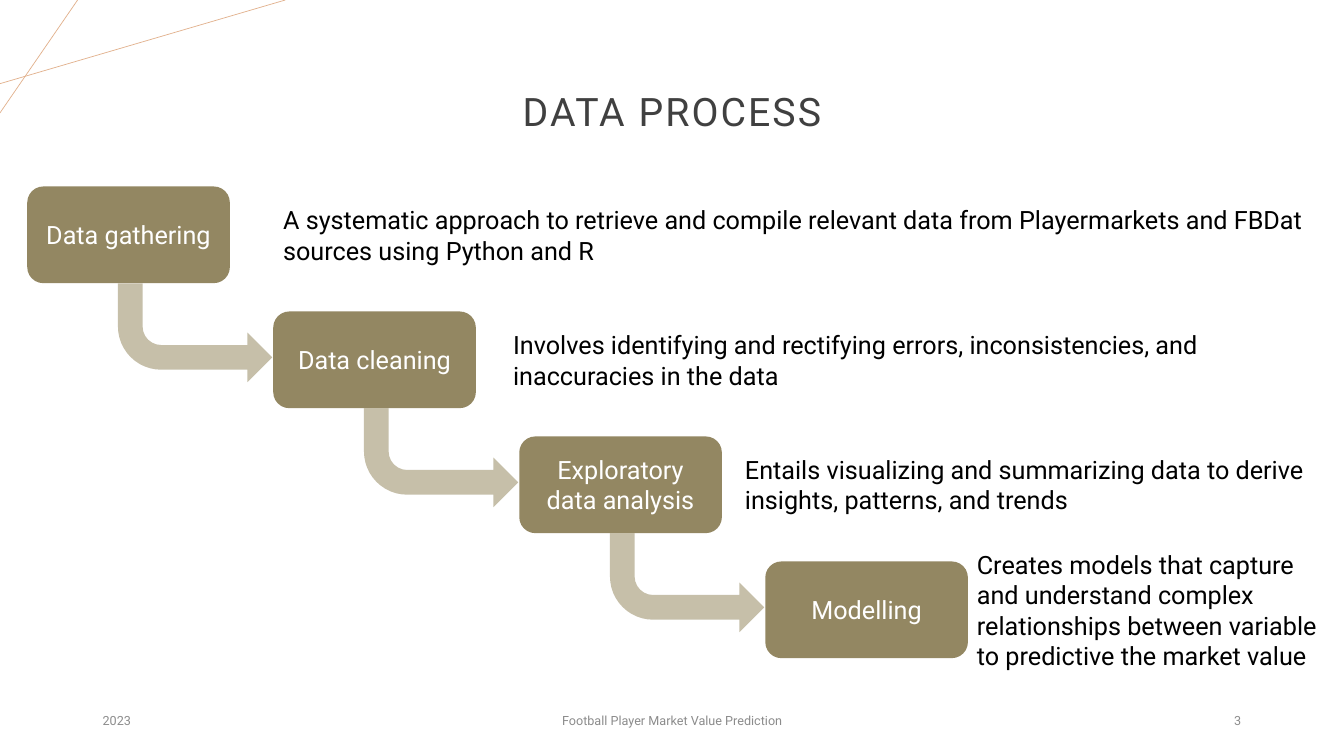
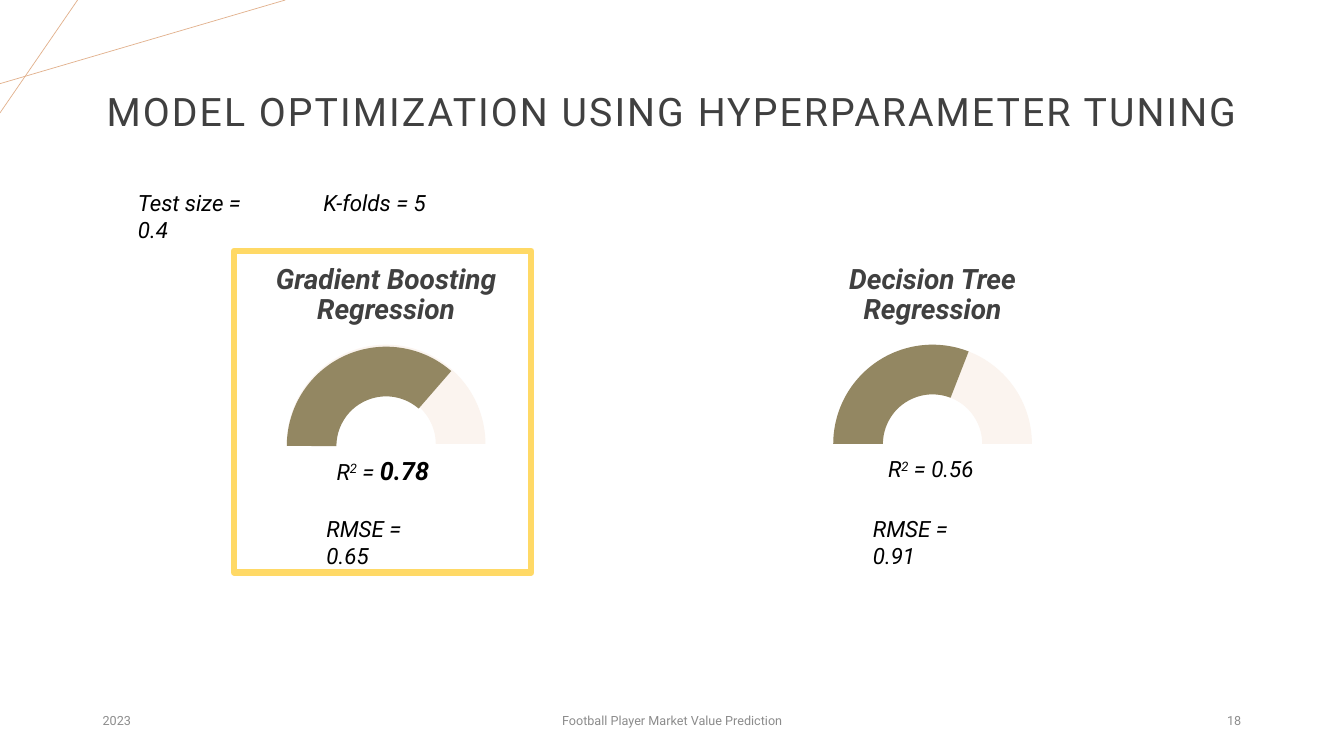
from lxml.etree import SubElement
from pptx import Presentation
from pptx.dml.color import RGBColor
from pptx.enum.shapes import MSO_CONNECTOR, MSO_SHAPE
from pptx.enum.text import MSO_ANCHOR, PP_ALIGN
from pptx.oxml.ns import qn
from pptx.util import Inches, Pt

W, H = 13.33, 7.5
FONT = "Roboto"
COLORS = {
    "title": "404040", "text": "000000", "footer": "8C8C8C", "white": "FFFFFF",
    "olive": "938762", "arrow": "C6BFA9", "track": "FBF4EF",
    "gold": "FFD966", "accent": "E2B18D",
}
LEFT, CENTER, RIGHT = PP_ALIGN.LEFT, PP_ALIGN.CENTER, PP_ALIGN.RIGHT
TOP, MIDDLE = MSO_ANCHOR.TOP, MSO_ANCHOR.MIDDLE

prs = Presentation()
prs.slide_width, prs.slide_height = Inches(W), Inches(H)


def add_text(sp, runs, size, color="text", align=LEFT, anchor=TOP, spacing=1.0, track=0, **fmt):
    """Fill a shape with one paragraph; each run is (text, own format)."""
    tf = sp.text_frame
    tf.word_wrap = True
    tf.vertical_anchor = anchor
    p = tf.paragraphs[0]
    p.alignment, p.line_spacing = align, spacing
    for text, own in runs if isinstance(runs, list) else [(runs, {})]:
        r = p.add_run()
        r.text = text
        values = {"name": FONT, "size": Pt(size), **fmt, **own}
        baseline = values.pop("baseline", 0)
        for name, value in values.items():
            setattr(r.font, name, value)
        r.font.color.rgb = RGBColor.from_string(COLORS[color])
        for name, value in (("spc", track), ("baseline", baseline)):
            if value:
                r.font._element.set(name, str(value))


def add_shape(shapes, kind, x, y, w, h, fill=None, line=None):
    sp = shapes.add_shape(kind, Inches(x), Inches(y), Inches(w), Inches(h))
    sp.shadow.inherit = False
    if fill:
        sp.fill.solid()
        sp.fill.fore_color.rgb = RGBColor.from_string(COLORS[fill])
    else:
        sp.fill.background()
    if line:
        sp.line.color.rgb = RGBColor.from_string(COLORS[line])
        sp.line.width = Pt(4.5)
    else:
        sp.line.fill.background()
    return sp


# Shared parts: corner lines, title, footer
TITLE = dict(size=28, color="title", align=CENTER, anchor=MIDDLE, spacing=0.9, track=150)
MARGIN, FOOT_Y, FOOT_H = 0.92, 6.95, 0.4
slides = []
for title, number in (("DATA PROCESS", "3"),
                      ("MODEL OPTIMIZATION USING HYPERPARAMETER TUNING", "18")):
    s = prs.slides.add_slide(prs.slide_layouts[6])
    slides.append(s)
    for ends in ((0, 0.83, 2.83, 0), (0.77, 0, 0, 1.12)):
        line = s.shapes.add_connector(MSO_CONNECTOR.STRAIGHT, *map(Inches, ends))
        line.line.color.rgb = RGBColor.from_string(COLORS["accent"])
        line.line.width = Pt(0.5)
        SubElement(line._element.spPr, qn("a:effectLst"))
    sp = s.shapes.add_textbox(*map(Inches, (MARGIN, 0.4, W - 2 * MARGIN, 1.45)))
    add_text(sp, title, **TITLE)
    for text, x, w, align in (("2023", MARGIN, 3, LEFT),
                              ("Football Player Market Value Prediction", (W - 2.61) / 2, 2.61, CENTER),
                              (number, W - MARGIN - 3, 3, RIGHT)):
        sp = s.shapes.add_textbox(*map(Inches, (x, FOOT_Y, w, FOOT_H)))
        add_text(sp, text, 9, "footer", align, MIDDLE)

# Slide 1: staircase of steps with descriptions
s = slides[0]
COL, ROW = 2.44, 1.24
X0, Y0, STEP_W, STEP_H = 0.27, 1.85, 2.01, 0.96
ARROW_X, ARROW_W, ARROW_H = 0.9, 1.53, 0.98
TEXT_END = 13.28
steps = (
    ("Data gathering", 2.71,
     "A systematic approach to retrieve and compile relevant data from Playermarkets and FBDat "
     "sources using Python and R"),
    ("Data cleaning", 4.99,
     "Involves identifying and rectifying errors, inconsistencies, and inaccuracies in the data"),
    ("Exploratory data analysis", 7.29,
     "Entails visualizing and summarizing data to derive insights, patterns, and trends"),
    ("Modelling", 9.59,
     "Creates models that capture and understand complex relationships between variable "
     "to predictive the market value"),
)
for i, (name, text_x, description) in enumerate(steps):
    x, y = X0 + i * COL, Y0 + i * ROW
    sp = add_shape(s.shapes, MSO_SHAPE.ROUNDED_RECTANGLE, x, y, STEP_W, STEP_H, "olive")
    add_text(sp, name, 18, "white", CENTER, MIDDLE)
    sp = s.shapes.add_textbox(*map(Inches, (text_x, y, TEXT_END - text_x, STEP_H)))
    add_text(sp, description, 18, anchor=MIDDLE)
    if i < len(steps) - 1:
        sp = add_shape(s.shapes, MSO_SHAPE.BENT_ARROW, x + ARROW_X, y + STEP_H,
                       ARROW_W, ARROW_H, "arrow")
        sp.rotation = 180
        sp._element.spPr.xfrm.set("flipH", "1")

# Slide 2: test settings
s = slides[1]
for text, x in (("Test size = 0.4", 1.27), ("K-folds = 5", 3.11)):
    sp = s.shapes.add_textbox(*map(Inches, (x, 1.83, 1.5, 0.37)))
    add_text(sp, text, 16, italic=True)

# Slide 2: highlight frame and one gauge per model
add_shape(s.shapes, MSO_SHAPE.RECTANGLE, 2.32, 2.49, 2.95, 3.19, line="gold")
GAUGE, GAUGE_Y = 1.97, 3.42
models = (
    # name, centre, heading width, gauge sweep in degrees, drop, R² and its left, format, RMSE
    ("Gradient Boosting Regression", 3.83, 2.7, 131, 0.02, "0.78", 3.24,
     {"size": Pt(18), "bold": True}, "0.65"),
    ("Decision Tree Regression", 9.25, 3.2, 111.3, 0, "0.56", 8.71, {}, "0.91"),
)
for name, cx, w, sweep, drop, r2, r2_x, r2_format, rmse in models:
    sp = s.shapes.add_textbox(*map(Inches, (cx - w / 2, 2.58, w, 0.4)))
    add_text(sp, name, 20, "title", CENTER, spacing=0.9, bold=True, italic=True)

    gauge = s.shapes.add_group_shape()
    x = cx - GAUGE / 2
    add_shape(gauge.shapes, MSO_SHAPE.BLOCK_ARC, x, GAUGE_Y, GAUGE, GAUGE, "track")
    sp = add_shape(gauge.shapes, MSO_SHAPE.BLOCK_ARC, x, GAUGE_Y + drop, GAUGE, GAUGE, "olive")
    sp._element.spPr.xfrm.set("flipH", "1")
    sp.adjustments[0] = (360 - sweep) * 0.6  # 60000 units a degree, scaled by 100000

    sp = s.shapes.add_textbox(*map(Inches, (r2_x, 4.47, 1.3, 0.4)))
    add_text(sp, [("R", {}), ("2", {"baseline": 30000}), (" = ", {}), (r2, r2_format)],
             16, italic=True)
    sp = s.shapes.add_textbox(*map(Inches, (cx - 0.69, 5.06, 1.3, 0.37)))
    add_text(sp, f"RMSE = {rmse}", 16, italic=True)

prs.save("out.pptx")
